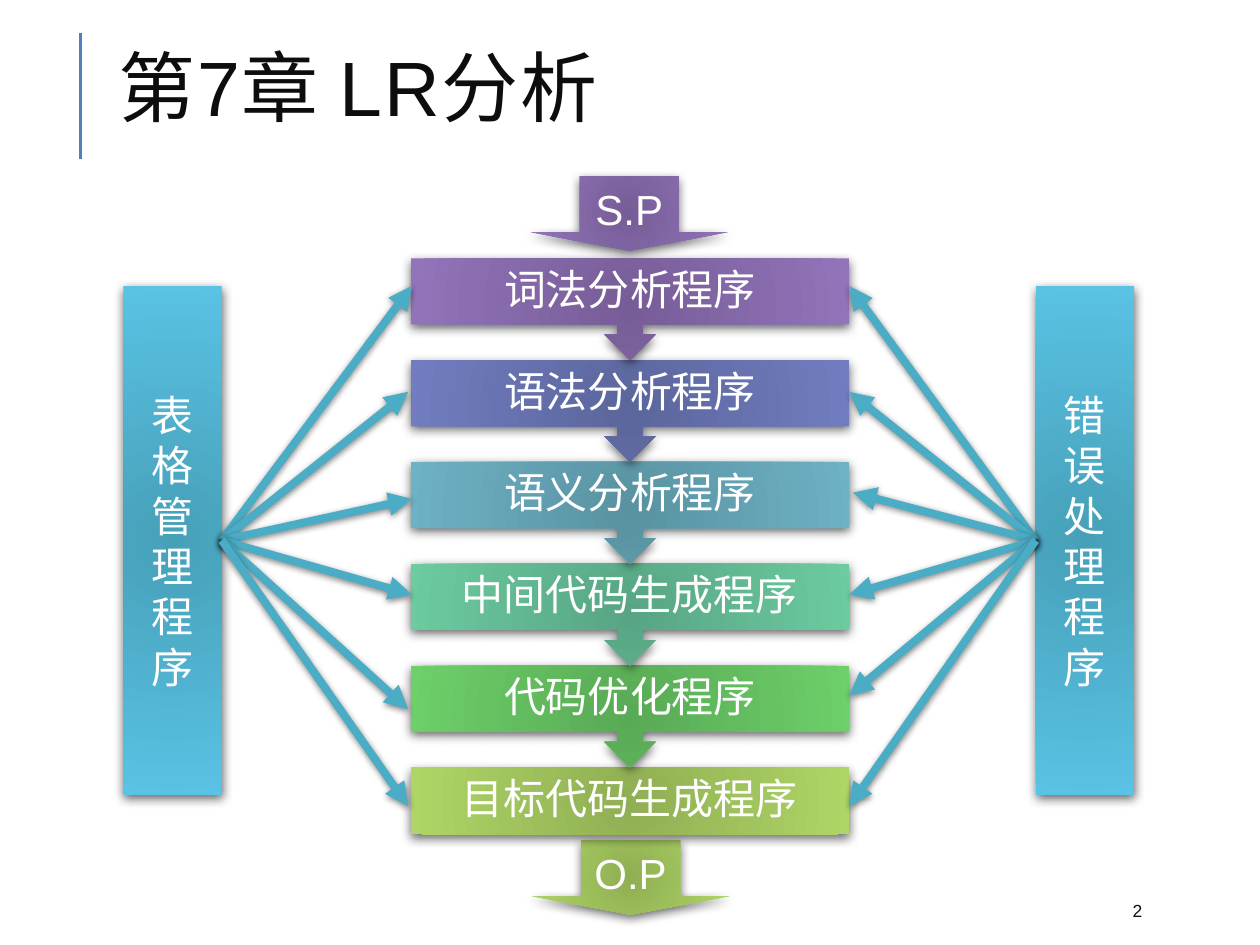
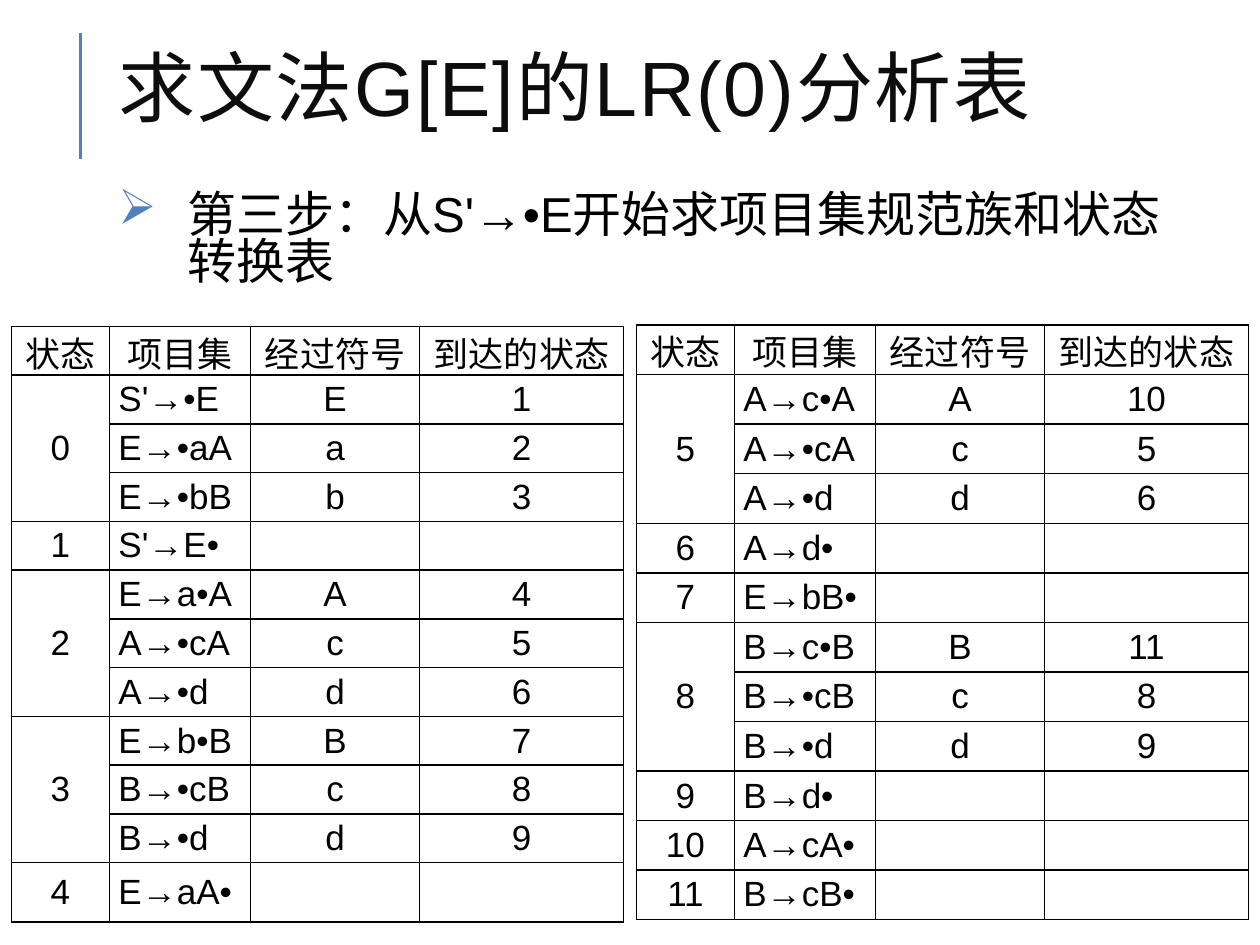
import pptx
import pptx.dml.color
import pptx.enum.shapes
import pptx.enum.text
import pptx.oxml
import pptx.oxml.ns
import pptx.util
from lxml import etree

Inches, Pt = pptx.util.Inches, pptx.util.Pt
qn = pptx.oxml.ns.qn
SHAPE = pptx.enum.shapes.MSO_SHAPE
ALIGN = pptx.enum.text.PP_ALIGN
MIDDLE = pptx.enum.text.MSO_ANCHOR.MIDDLE
TOP = pptx.enum.text.MSO_ANCHOR.TOP

LATIN, CJK = "Arial", "Noto Sans CJK SC"
INK, BLACK, WHITE = "0D0D0D", "000000", "FFFFFF"
RULE_BLUE, ARROW_BLUE = "4F81BD", "4BACC6"


def rgb(value):
    return pptx.dml.color.RGBColor.from_string(value)


def write(frame, text, size=24, color=WHITE, font=LATIN, align=ALIGN.CENTER,
          anchor=MIDDLE, wrap=True, inset=None, line_spacing=None,
          tracking=None, bullet=None, indent=0.55):
    """Fill a text frame, one paragraph for each line of text."""
    frame.word_wrap = wrap
    frame.vertical_anchor = anchor
    if inset is not None:
        frame.margin_left = frame.margin_right = Inches(inset)
        frame.margin_top = frame.margin_bottom = Inches(inset)
    for number, line in enumerate(text.split("\n")):
        paragraph = frame.add_paragraph() if number else frame.paragraphs[0]
        paragraph.alignment = align
        if line_spacing:
            paragraph.line_spacing = line_spacing
        if bullet:
            properties = paragraph._p.get_or_add_pPr()
            properties.set("marL", str(Inches(indent)))
            properties.set("indent", str(-Inches(indent)))
            bullet_color = etree.SubElement(properties, qn("a:buClr"))
            etree.SubElement(bullet_color, qn("a:srgbClr"), val=RULE_BLUE)
            etree.SubElement(properties, qn("a:buChar"), char=bullet)
        run = paragraph.add_run()
        run.text = line
        run.font.size = Pt(size)
        run.font.color.rgb = rgb(color)
        run.font.name = font
        run_properties = run._r.get_or_add_rPr()
        etree.SubElement(run_properties, qn("a:ea"), typeface=CJK)
        if tracking:
            run_properties.set("spc", str(tracking * 100))


deck = pptx.Presentation()
deck.slide_width, deck.slide_height = Inches(10), Inches(7.5)
title_only = deck.slide_layouts[5]

# Shared title and rule
slides = []
for heading in ("第7章 LR分析", "求文法G[E]的LR(0)分析表"):
    slide = deck.slides.add_slide(title_only)
    slides.append(slide)
    rule = slide.shapes.add_connector(
        pptx.enum.shapes.MSO_CONNECTOR.STRAIGHT,
        Inches(0.64), Inches(1.26), Inches(0.64), Inches(0.26))
    rule.line.color.rgb = rgb(RULE_BLUE)
    rule.line.width = Pt(1.5)
    etree.SubElement(rule._element.spPr, qn("a:effectLst"))
    title = slide.shapes.title
    title.left, title.top = Inches(0.84), Inches(0.26)
    title.width, title.height = Inches(8.5), Inches(0.98)
    write(title.text_frame, heading, size=44, color=INK, align=ALIGN.LEFT,
          line_spacing=0.8, tracking=1)
compiler, parsing = slides

# Slide 1: compiler phases between two side panels
PHASE_LEFT, PHASE_WIDTH, PHASE_HEIGHT = 3.26, 3.48, 0.53
FIRST_TOP, LAST_TOP = 2.05, 6.09
phases = [
    ("词法分析程序", "775D97", "9274BA"),
    ("语法分析程序", "5B669C", "717DC0"),
    ("语义分析程序", "5992A1", "6EB2C5"),
    ("中间代码生成程序", "57A584", "6CCB9F"),
    ("代码优化程序", "59AA55", "6DD069"),
    ("目标代码生成程序", "90AE53", "AED666"),
]
pitch = (LAST_TOP - FIRST_TOP) / (len(phases) - 1)
PANEL_COLORS = ("46A0B8", "5AC2E4")

# preset, left, top, width, height, (inner, outer), text, font
blocks = [
    (SHAPE.DOWN_ARROW, 4.21, 1.4, 1.57, 0.59, phases[0][1:], "S.P", LATIN),
    (SHAPE.DOWN_ARROW, 4.22, 6.67, 1.57, 0.59, phases[-1][1:], "O.P", LATIN),
    (SHAPE.RECTANGLE, 0.98, 2.27, 0.78, 4.04, PANEL_COLORS,
     "\n".join("表格管理程序"), CJK),
    (SHAPE.RECTANGLE, 8.22, 2.27, 0.78, 4.04, PANEL_COLORS,
     "\n".join("错误处理程序"), CJK),
]
for row, (name, *colors) in reversed(list(enumerate(phases))):
    is_last = row == len(phases) - 1
    blocks.append((
        SHAPE.RECTANGLE if is_last else SHAPE.UP_ARROW_CALLOUT,
        PHASE_LEFT, FIRST_TOP + row * pitch, PHASE_WIDTH,
        PHASE_HEIGHT if is_last else pitch, colors, "", LATIN))

shadowed = []  # part, opacity in percent, blur and distance in points
for preset, left, top, width, height, colors, text, font in blocks:
    block = compiler.shapes.add_shape(
        preset, Inches(left), Inches(top), Inches(width), Inches(height))
    if preset == SHAPE.DOWN_ARROW:
        block.adjustments[0], block.adjustments[1] = 0.5, 0.25
    if preset == SHAPE.UP_ARROW_CALLOUT:
        block.rotation = 180
    block.fill.gradient()
    for stop, color in zip(block.fill.gradient_stops, colors):
        stop.color.rgb = rgb(color)
    gradient = block._element.spPr.find(qn("a:gradFill"))
    linear = gradient.find(qn("a:lin"))
    radial = etree.Element(qn("a:path"), path="circle")
    etree.SubElement(radial, qn("a:fillToRect"),
                     {side: "100000" for side in "ltrb"})
    gradient.replace(linear, radial)
    block.line.fill.background()
    if text:
        write(block.text_frame, text, font=font, wrap=False)
    shadowed.append((block, 60, 6, 2))

for row, (name, *colors) in enumerate(phases):
    label = compiler.shapes.add_textbox(
        Inches(PHASE_LEFT), Inches(FIRST_TOP + row * pitch),
        Inches(PHASE_WIDTH), Inches(PHASE_HEIGHT))
    write(label.text_frame, name, inset=0.19, line_spacing=0.9)

# Arrows fan out from the inner edge of each panel
HUB_TOP = 4.29
fans = {
    1.76: [(3.27, 2.27), (3.24, 3.11), (3.27, 3.96),
           (3.27, 4.72), (3.24, 5.63), (3.24, 6.4)],
    8.22: [(6.74, 2.27), (6.74, 3.11), (6.77, 3.91),
           (6.74, 4.72), (6.74, 5.52), (6.74, 6.4)],
}
for hub_left, targets in fans.items():
    for target_left, target_top in targets:
        arrow = compiler.shapes.add_connector(
            pptx.enum.shapes.MSO_CONNECTOR.STRAIGHT,
            Inches(hub_left), Inches(HUB_TOP),
            Inches(target_left), Inches(target_top))
        arrow.line.color.rgb = rgb(ARROW_BLUE)
        arrow.line.width = Pt(4.5)
        etree.SubElement(arrow.line._get_or_add_ln(), qn("a:tailEnd"),
                         type="triangle")
        shadowed.append((arrow, 50, 4, 1))

for part, opacity, blur, distance in shadowed:
    effects = etree.SubElement(part._element.spPr, qn("a:effectLst"))
    shadow = etree.SubElement(
        effects, qn("a:outerShdw"), blurRad=str(Pt(blur)),
        dist=str(Pt(distance)), dir=str(90 * 60000), rotWithShape="0")
    shade = etree.SubElement(shadow, qn("a:srgbClr"), val=BLACK)
    etree.SubElement(shade, qn("a:alpha"), val=str(opacity * 1000))

page_number = compiler.shapes.add_textbox(
    Inches(8.89), Inches(7.08), Inches(0.8), Inches(0.3))
write(page_number.text_frame, "2", size=10, color=INK, align=ALIGN.LEFT)

# Slide 2: item sets and state transitions
step = parsing.shapes.add_textbox(
    Inches(0.84), Inches(1.5), Inches(8.5), Inches(1.07))
write(step.text_frame, "第三步：从S'→•E开始求项目集规范族和状态转换表",
      size=28, color=BLACK, align=ALIGN.LEFT, anchor=TOP, line_spacing=0.8,
      bullet="➢")

HEADER = ("状态", "项目集", "经过符号", "到达的状态")
COLUMN_WIDTHS = (0.78, 1.12, 1.34, 1.62)
left_states = {
    "0": [("S'→•E", "E", "1"), ("E→•aA", "a", "2"), ("E→•bB", "b", "3")],
    "1": [("S'→E•", "", "")],
    "2": [("E→a•A", "A", "4"), ("A→•cA", "c", "5"), ("A→•d", "d", "6")],
    "3": [("E→b•B", "B", "7"), ("B→•cB", "c", "8"), ("B→•d", "d", "9")],
    "4": [("E→aA•", "", "")],
}
right_states = {
    "5": [("A→c•A", "A", "10"), ("A→•cA", "c", "5"), ("A→•d", "d", "6")],
    "6": [("A→d•", "", "")],
    "7": [("E→bB•", "", "")],
    "8": [("B→c•B", "B", "11"), ("B→•cB", "c", "8"), ("B→•d", "d", "9")],
    "9": [("B→d•", "", "")],
    "10": [("A→cA•", "", "")],
    "11": [("B→cB•", "", "")],
}
# left, top, height, height of last row, fill, states
halves = [
    (0.09, 2.59, 4.73, 0.47, None, left_states),
    (5.05, 2.58, 4.72, 0.39, WHITE, right_states),
]
for left, top, height, last_height, fill, states in halves:
    lines = [HEADER]
    merges = []
    for state, items in states.items():
        merges.append((len(lines), len(lines) + len(items) - 1))
        for number, item in enumerate(items):
            lines.append(("" if number else state, *item))

    grid = parsing.shapes.add_table(
        len(lines), len(HEADER), Inches(left), Inches(top),
        Inches(sum(COLUMN_WIDTHS)), Inches(height)).table
    grid.first_row = grid.horz_banding = False
    for column, width in zip(grid.columns, COLUMN_WIDTHS):
        column.width = Inches(width)
    for row in grid.rows:
        row.height = Inches((height - last_height) / (len(lines) - 1))
    grid.rows[len(lines) - 1].height = Inches(last_height)

    for row, line in enumerate(lines):
        for column, text in enumerate(line):
            cell = grid.cell(row, column)
            cell.margin_left = cell.margin_right = Inches(0.07)
            cell.margin_top = cell.margin_bottom = 0
            cell.vertical_anchor = MIDDLE
            for side in ("lnL", "lnR", "lnT", "lnB"):
                border = etree.SubElement(cell._tc.get_or_add_tcPr(),
                                          qn("a:" + side), w=str(Pt(1)))
                paint = etree.SubElement(border, qn("a:solidFill"))
                etree.SubElement(paint, qn("a:srgbClr"), val=BLACK)
            if fill:
                cell.fill.solid()
                cell.fill.fore_color.rgb = rgb(fill)
            else:
                cell.fill.background()
            if text:
                is_item = row > 0 and column == 1
                write(cell.text_frame, text, size=20, color=BLACK,
                      align=ALIGN.LEFT if is_item else ALIGN.CENTER)
    for first, last in merges:
        if last > first:
            grid.cell(first, 0).merge(grid.cell(last, 0))

deck.save("out.pptx")
